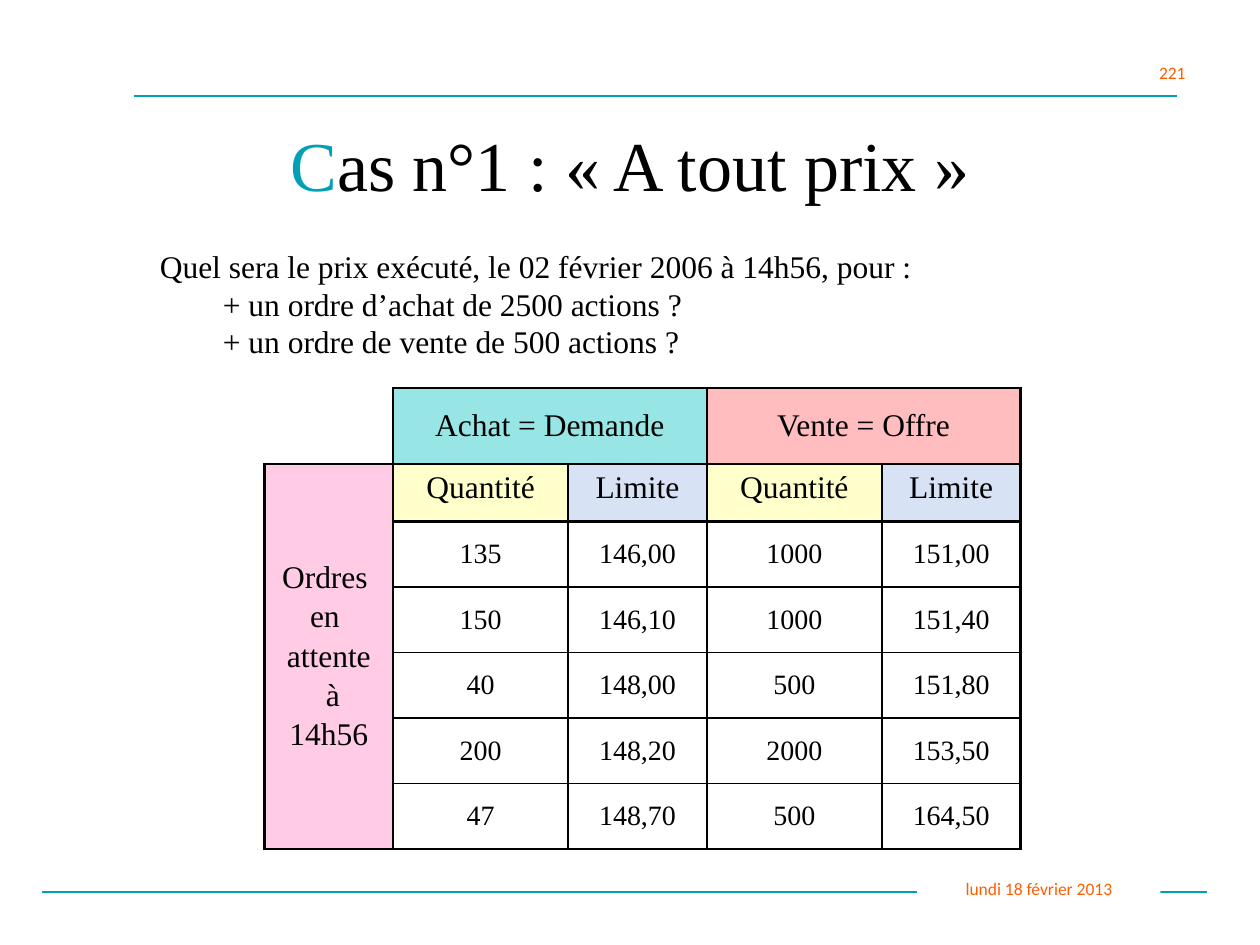
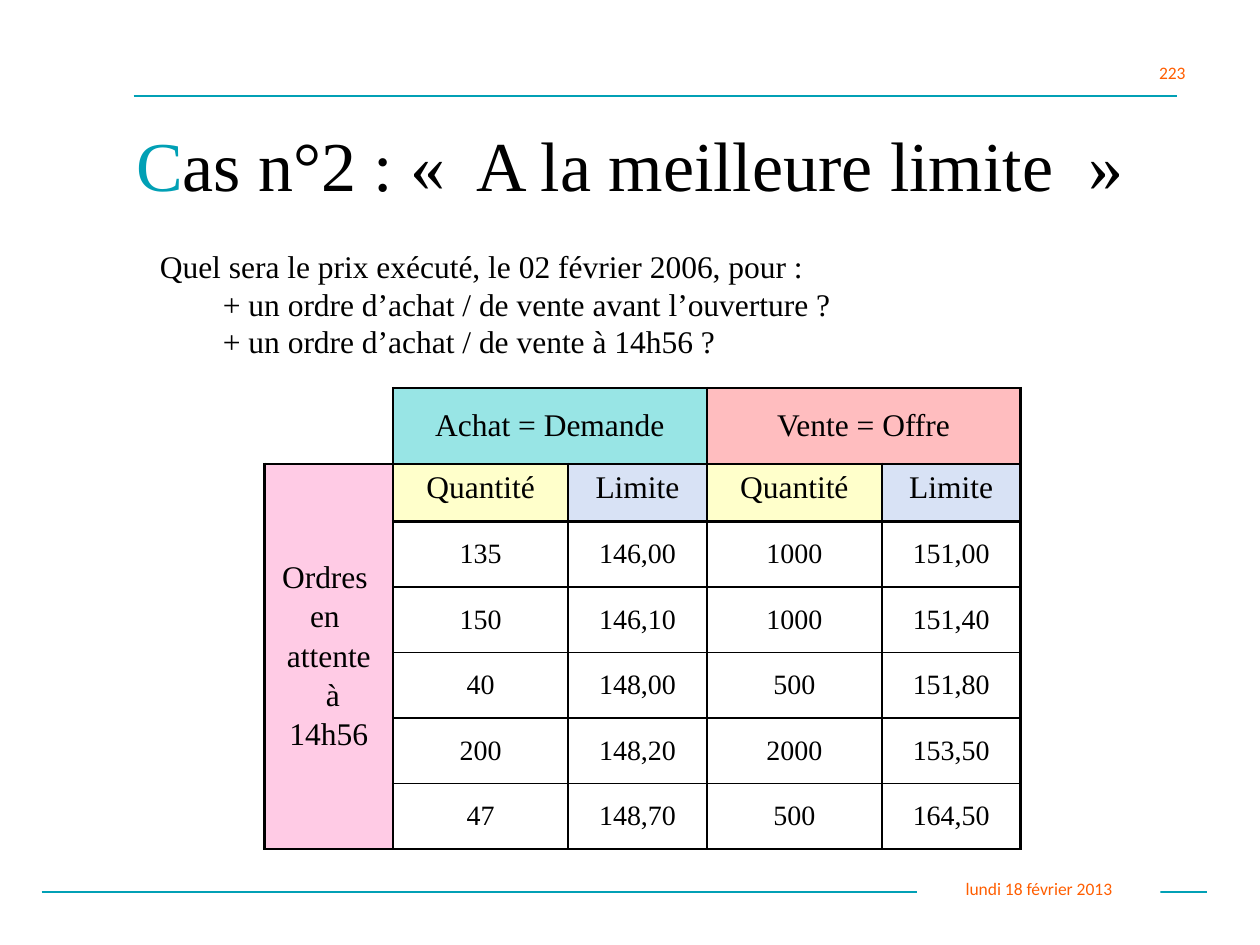
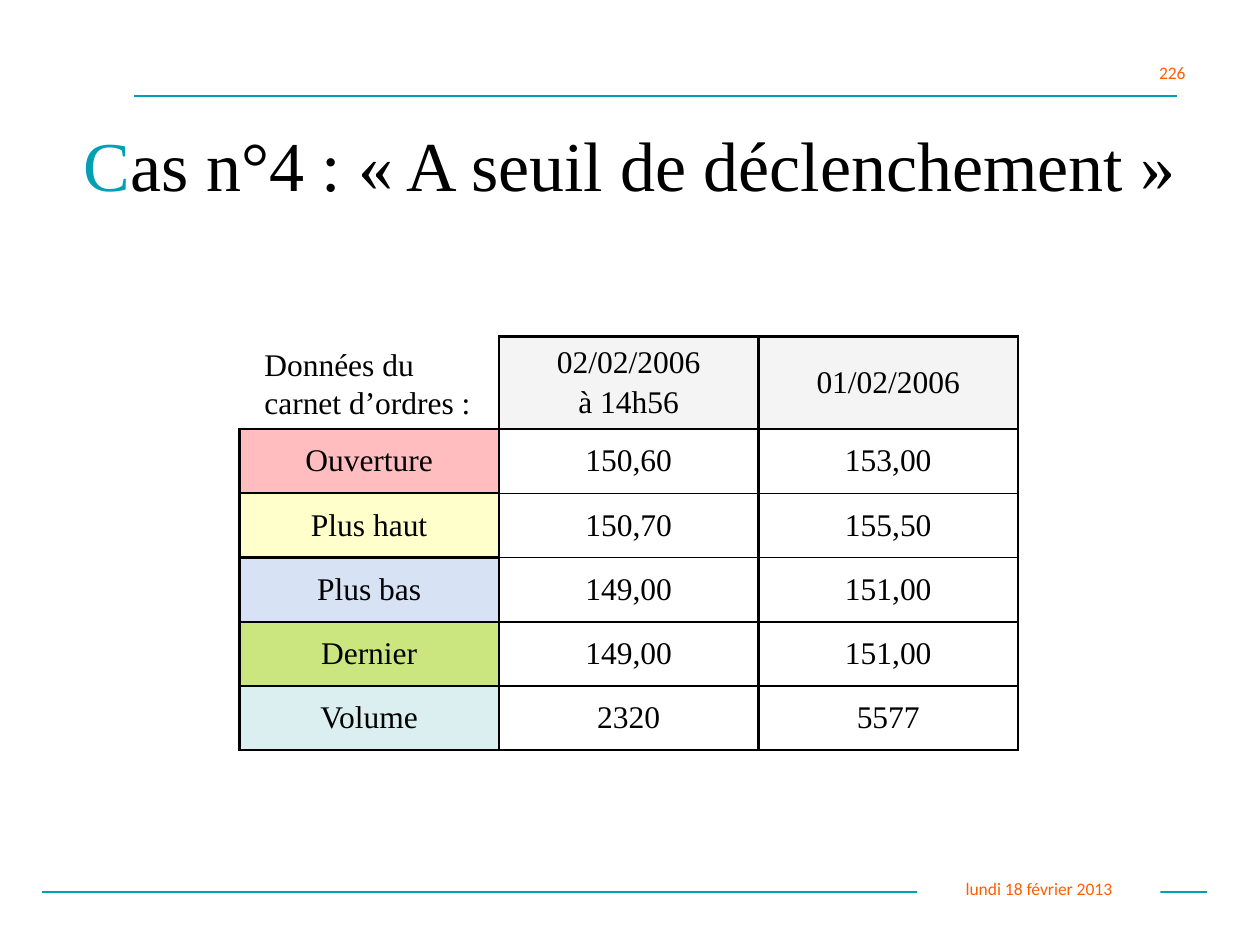
from pptx import Presentation
from pptx.dml.color import RGBColor
from pptx.enum.shapes import MSO_CONNECTOR as Connector, MSO_SHAPE as Preset
from pptx.enum.text import MSO_ANCHOR as Anchor, PP_ALIGN as Align
from pptx.oxml.ns import qn
from pptx.util import Inches, Pt
from lxml.etree import SubElement

COLOURS = {
    "accent": "01A0B5", "footer": "FF5E00", "text": "000000", "paper": "FFFFFF",
    "buy": "33CCCC", "sell": "FF7C80", "waiting": "FF99CC", "quantity": "FFFF99",
    "limit": "B2C7EC", "date": "EAEAEA", "last": "99CC00", "volume": "BBE0E3",
}
BODY = {"name": "Times New Roman", "size": Pt(18), "color": "text"}
SMALL_BODY = {**BODY, "size": Pt(16)}
TITLE = {**BODY, "size": Pt(40)}
TITLE_INITIAL = {**TITLE, "color": "accent"}
FOOTER = {"name": "Calibri", "size": Pt(10), "color": "footer"}

DATE = "lundi 18 février 2013"
THICK, THIN = Pt(1.5), Pt(1)

ORDER_BOOK = [
    ["", "Achat = Demande", "", "Vente = Offre", ""],
    ["Ordres \nen \nattente\n à\n14h56", "Quantité", "Limite", "Quantité", "Limite"],
    ["", "135", "146,00", "1000", "151,00"],
    ["", "150", "146,10", "1000", "151,40"],
    ["", "40", "148,00", "500", "151,80"],
    ["", "200", "148,20", "2000", "153,50"],
    ["", "47", "148,70", "500", "164,50"],
]
ORDER_FILLS = {(0, 1): "buy", (0, 3): "sell", (1, 0): "waiting",
               (1, 1): "quantity", (1, 2): "limit", (1, 3): "quantity", (1, 4): "limit"}
ORDER_MERGES = [((0, 1), (0, 2)), ((0, 3), (0, 4)), ((1, 0), (6, 0))]

DAY_SUMMARY = [
    ["", "02/02/2006\nà 14h56", "01/02/2006"],
    ["Ouverture", "150,60", "153,00"],
    ["Plus haut", "150,70", "155,50"],
    ["Plus bas", "149,00", "151,00"],
    ["Dernier", "149,00", "151,00"],
    ["Volume", "2320", "5577"],
]
SUMMARY_FILLS = {(0, 1): "date", (0, 2): "date", (1, 0): "sell", (2, 0): "quantity",
                 (3, 0): "limit", (4, 0): "last", (5, 0): "volume"}


def colour(name):
    return RGBColor.from_string(COLOURS[name])


def inches(values):
    return [Inches(value) for value in values]


# Text helpers
def add_run(paragraph, text, formats):
    run = paragraph.add_run()
    run.text = text
    for key, value in formats.items():
        if key == "color":
            run.font.color.rgb = colour(value)
        else:
            setattr(run.font, key, value)


def write_lines(frame, lines, formats, align, gap=0):
    for index, line in enumerate(lines):
        paragraph = frame.add_paragraph() if index else frame.paragraphs[0]
        paragraph.alignment = align
        if index and gap:
            paragraph.space_before = Pt(gap)
        add_run(paragraph, line, formats)


def add_text_box(slide, box, wrap=True):
    frame = slide.shapes.add_textbox(*inches(box)).text_frame
    frame.word_wrap = wrap
    return frame


# Rules, date and page number
def add_rule(slide, left, right, top):
    rule = slide.shapes.add_connector(Connector.STRAIGHT, *inches((left, top, right, top)))
    rule.line.color.rgb = colour("accent")
    rule.line.width = Pt(1)
    SubElement(rule._element.spPr, qn("a:effectLst"))


def add_label(slide, box, text, align, anchor):
    label = slide.shapes.add_shape(Preset.RECTANGLE, *inches(box))
    label.shadow.inherit = False
    label.fill.solid()
    label.fill.fore_color.rgb = colour("paper")
    label.line.fill.background()
    label.text_frame.vertical_anchor = anchor
    write_lines(label.text_frame, [text], FOOTER, align)


def add_frame(slide, number):
    add_rule(slide, 0.33, 9.58, 7.08)
    add_label(slide, (7.28, 6.92, 1.93, 0.27), DATE, Align.CENTER, Anchor.MIDDLE)
    add_label(slide, (9.1, 0.44, 0.45, 0.27), number, Align.LEFT, Anchor.TOP)
    add_rule(slide, 1.06, 9.34, 0.76)


def add_title(slide, text, width=8.5):
    frame = add_text_box(slide, ((10 - width) / 2, 0.67, width, 1.25))
    frame.vertical_anchor = Anchor.MIDDLE
    paragraph = frame.paragraphs[0]
    paragraph.alignment = Align.CENTER
    add_run(paragraph, text[0], TITLE_INITIAL)
    add_run(paragraph, text[1:], TITLE)


# Tables
def set_borders(cell, widths):
    properties = cell._tc.get_or_add_tcPr()
    for side in "LRTB":
        width = widths.get(side, 0)
        line = SubElement(properties, qn(f"a:ln{side}"), w=str(int(width)))
        if width:
            fill = SubElement(line, qn("a:solidFill"))
            SubElement(fill, qn("a:srgbClr"), val=COLOURS["text"])
        else:
            SubElement(line, qn("a:noFill"))


def set_fill(cell, name):
    if name is None:
        cell.fill.background()
        return
    cell.fill.solid()
    cell.fill.fore_color.rgb = colour(name)
    tint = cell._tc.tcPr.find(qn("a:solidFill")).find(qn("a:srgbClr"))
    SubElement(tint, qn("a:alpha"), val="50000")


def cell_borders(row, column, first_value_row, last_row):
    if (row, column) == (0, 0):
        return {"R": THICK, "B": THICK}
    is_value = row >= first_value_row and column > 0
    return {"L": THICK, "R": THICK,
            "T": THIN if is_value and row > first_value_row else THICK,
            "B": THIN if is_value and row < last_row else THICK}


def add_grid(slide, origin, columns, heights, values, fills, first_value_row,
             value_format=BODY, merges=(), top_row=None):
    box = inches((*origin, sum(columns), sum(heights)))
    table = slide.shapes.add_table(len(heights), len(columns), *box).table
    table.first_row = table.horz_banding = False
    for column, width in zip(table.columns, columns):
        column.width = Inches(width)
    for row, height in zip(table.rows, heights):
        row.height = Inches(height)
    for row, texts in enumerate(values):
        for column, text in enumerate(texts):
            cell = table.cell(row, column)
            set_borders(cell, cell_borders(row, column, first_value_row, len(values) - 1))
            set_fill(cell, fills.get((row, column)))
            at_top = row == top_row and column > 0
            cell.vertical_anchor = Anchor.TOP if at_top else Anchor.MIDDLE
            if text:
                is_value = row >= first_value_row and column > 0
                write_lines(cell.text_frame, text.split("\n"),
                            value_format if is_value else BODY, Align.CENTER, gap=2.5)
    for first, last in merges:
        table.cell(*first).merge(table.cell(*last))


# Question above the order book
def add_question(slide, box, lines):
    frame = add_text_box(slide, box)
    write_lines(frame, lines, BODY, Align.JUSTIFY)
    for paragraph in frame.paragraphs[1:]:
        paragraph._p.get_or_add_pPr().set("marL", str(Inches(0.5)))


# Slide types
def new_slide(presentation, number, title, title_width=8.5):
    slide = presentation.slides.add_slide(presentation.slide_layouts[6])
    add_frame(slide, number)
    add_title(slide, title, title_width)
    return slide


def order_book_slide(presentation, number, title, question):
    slide = new_slide(presentation, number, title)
    add_question(slide, (1.17, 1.91, 7.75, 1), question)
    add_grid(slide, (2.1, 3.08), [1.02, 1.39, 1.1, 1.39, 1.1], [0.6, 0.46] + [0.52] * 5,
             ORDER_BOOK, ORDER_FILLS, 2, SMALL_BODY, ORDER_MERGES, top_row=1)


def summary_slide(presentation, number, title):
    slide = new_slide(presentation, number, title, 9.17)
    add_grid(slide, (1.9, 2.67), [2.06] * 3, [0.71] + [0.51] * 5,
             DAY_SUMMARY, SUMMARY_FILLS, 1)
    caption = add_text_box(slide, (2, 2.69, 1.84, 0.7), wrap=False)
    write_lines(caption, ["Données du", "carnet d’ordres :"], BODY, Align.LEFT)


def main():
    presentation = Presentation()
    presentation.slide_width, presentation.slide_height = Inches(10), Inches(7.5)
    order_book_slide(presentation, "221", "Cas n°1 : « A tout prix »", [
        "Quel sera le prix exécuté, le 02 février 2006 à 14h56, pour :",
        "+ un ordre d’achat de 2500 actions ?",
        "+ un ordre de vente de 500 actions ?"])
    order_book_slide(presentation, "223", "Cas n°2 : «  A la meilleure limite  »", [
        "Quel sera le prix exécuté, le 02 février 2006, pour :",
        "+ un ordre d’achat / de vente avant l’ouverture ?",
        "+ un ordre d’achat / de vente à 14h56 ?"])
    summary_slide(presentation, "226", "Cas n°4 : « A seuil de déclenchement »")
    presentation.save("out.pptx")


if __name__ == "__main__":
    main()
